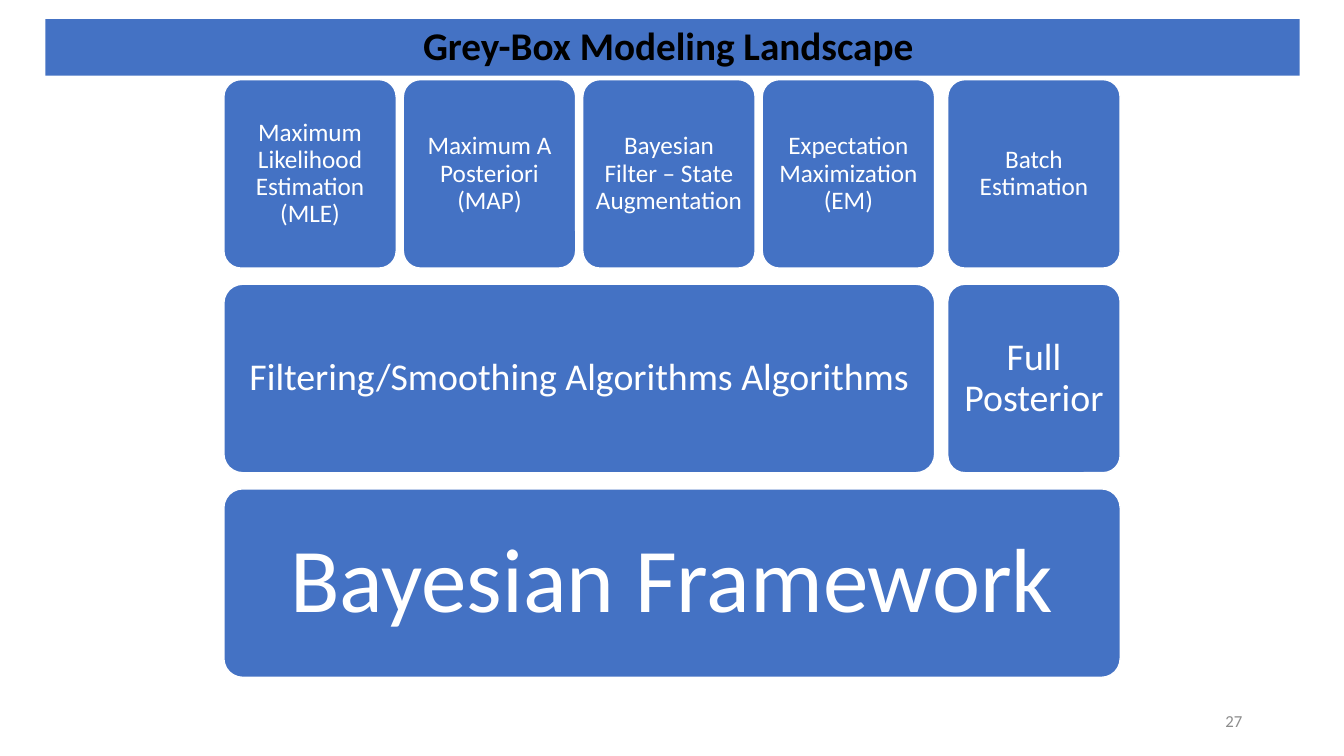
from pptx import Presentation
from pptx.dml.color import RGBColor
from pptx.enum.shapes import MSO_SHAPE
from pptx.enum.text import MSO_ANCHOR, MSO_AUTO_SIZE, PP_ALIGN
from pptx.util import Inches, Pt

ROUNDED = MSO_SHAPE.ROUNDED_RECTANGLE
MIDDLE = MSO_ANCHOR.MIDDLE
NO_AUTOFIT = MSO_AUTO_SIZE.NONE
CENTER, RIGHT = PP_ALIGN.CENTER, PP_ALIGN.RIGHT

COLORS = {"blue": "4472C4", "white": "FFFFFF", "black": "000000", "grey": "8C8C8C"}
FONT = "Calibri"

LEFT, TOP = 2.22, 0.79
BOX_WIDTH, BOX_HEIGHT = 1.71, 1.87
COLUMN_STEP, ROW_STEP = 1.78, 2.03
POSTERIOR_LEFT = 9.4
FILTERING_WIDTH = 3 * COLUMN_STEP + BOX_WIDTH
FRAMEWORK_WIDTH = POSTERIOR_LEFT + BOX_WIDTH - LEFT

FILTERING_METHODS = [
    "Maximum Likelihood Estimation (MLE)",
    "Maximum A Posteriori (MAP)",
    "Bayesian Filter – State Augmentation",
    "Expectation Maximization (EM)",
]


class LandscapeSlide:
    """Draws the elements of the modeling landscape in one shared style."""

    def __init__(self, deck):
        self.page = deck.slides.add_slide(deck.slide_layouts[5])

    def color(self, name):
        return RGBColor.from_string(COLORS[name])

    def paint(self, shape, name):
        shape.fill.solid()
        shape.fill.fore_color.rgb = self.color(name)

    def set_text(self, shape, text, size, color, align=CENTER, bold=False, spacing=0.9):
        frame = shape.text_frame
        frame.word_wrap = True
        frame.auto_size = NO_AUTOFIT
        frame.vertical_anchor = MIDDLE
        para = frame.paragraphs[0]
        para.text = text
        para.alignment = align
        para.line_spacing = spacing
        para.font.name = FONT
        para.font.size = Pt(size)
        para.font.bold = bold
        para.font.color.rgb = self.color(color)

    def title(self, text):
        banner = self.page.shapes.title
        banner.left, banner.top = Inches(0.45), Inches(0.19)
        banner.width, banner.height = Inches(12.44), Inches(0.56)
        self.paint(banner, "blue")
        self.set_text(banner, text, 28, "black", bold=True)

    def block(self, text, left, row, width, size, inset):
        box = self.page.shapes.add_shape(
            ROUNDED, Inches(left), Inches(TOP + row * ROW_STEP),
            Inches(width), Inches(BOX_HEIGHT))
        box.adjustments[0] = 0.1
        box.shadow.inherit = False
        self.paint(box, "blue")
        box.line.color.rgb = self.color("white")
        box.line.width = Pt(1)
        frame = box.text_frame
        frame.margin_left = frame.margin_right = Inches(inset)
        frame.margin_top = frame.margin_bottom = Inches(inset)
        self.set_text(box, text, size, "white")

    def page_number(self, text):
        box = self.page.shapes.add_textbox(
            Inches(9.42), Inches(6.95), Inches(3), Inches(0.4))
        self.set_text(box, text, 12, "grey", align=RIGHT, spacing=1.0)


def main():
    deck = Presentation()
    deck.slide_width, deck.slide_height = Inches(13.33), Inches(7.5)
    slide = LandscapeSlide(deck)
    slide.title("Grey-Box Modeling Landscape ")
    slide.block("Bayesian Framework", LEFT, 2, FRAMEWORK_WIDTH, 65, 0.27)
    slide.block("Filtering/Smoothing Algorithms Algorithms",
                LEFT, 1, FILTERING_WIDTH, 27, 0.11)
    for column, method in enumerate(FILTERING_METHODS):
        slide.block(method, LEFT + column * COLUMN_STEP, 0, BOX_WIDTH, 18, 0.07)
    slide.block("Full Posterior", POSTERIOR_LEFT, 1, BOX_WIDTH, 27, 0.11)
    slide.block("Batch Estimation", POSTERIOR_LEFT, 0, BOX_WIDTH, 18, 0.07)
    slide.page_number("27")
    deck.save("out.pptx")


if __name__ == "__main__":
    main()
